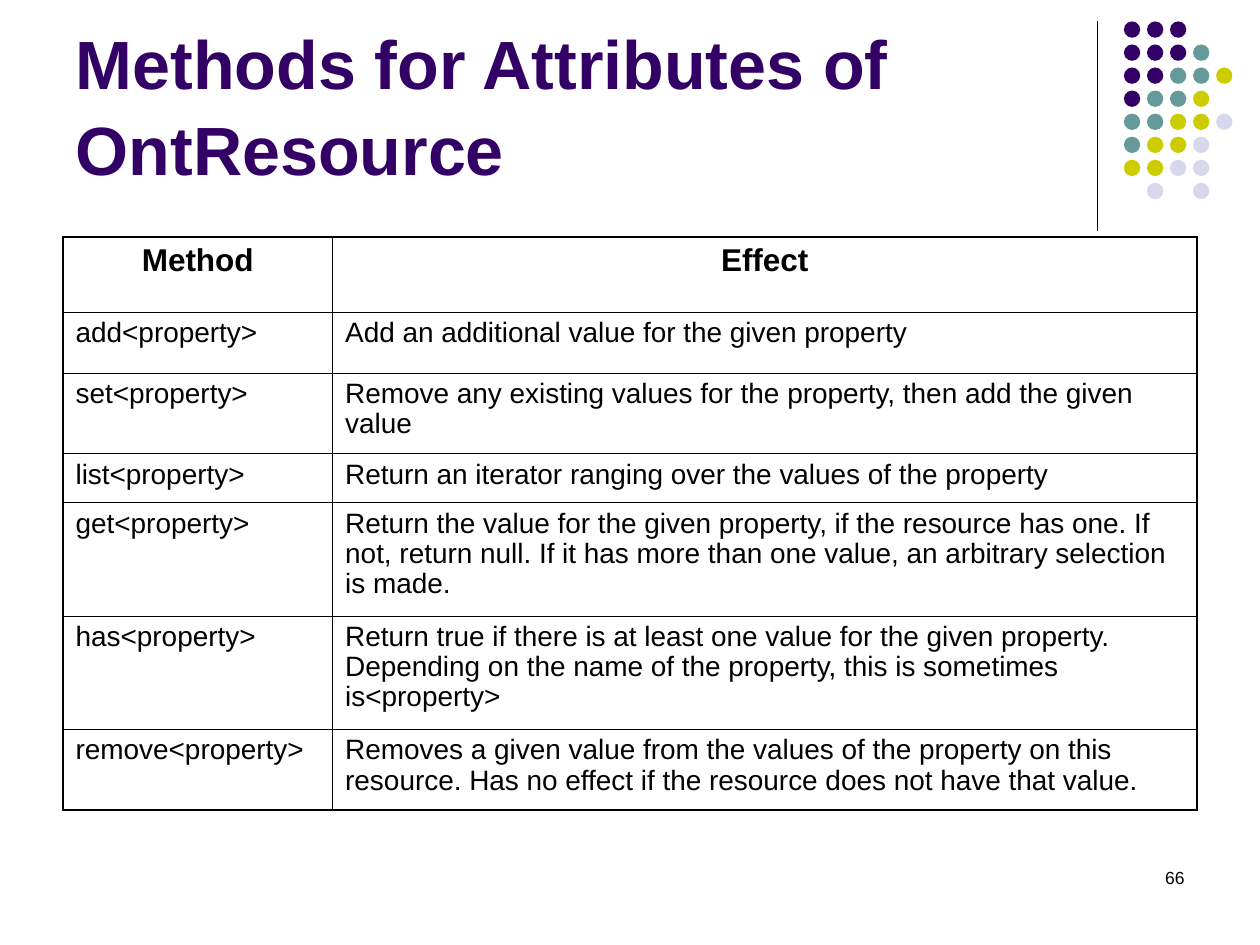
from lxml.etree import SubElement
from pptx import Presentation
from pptx.dml.color import RGBColor
from pptx.enum.shapes import MSO_CONNECTOR as Connector, MSO_SHAPE as Shape
from pptx.enum.text import MSO_ANCHOR as Anchor, MSO_AUTO_SIZE as AutoSize, PP_ALIGN as Align
from pptx.oxml.ns import qn
from pptx.util import Inches, Pt

BLACK, PURPLE = "000000", "330066"
DOT_COLOURS = {"P": PURPLE, "T": "669999", "Y": "CCCC00", "L": "D8D8EC"}
DOTS = ["PPP", "PPPT", "PPTTY", "PTTY", "TTYYL", "TYYL", "YYLL", ".L.L"]
COL_WIDTHS = [21.4, 68.6]
ROW_HEIGHTS = [6, 4.8, 6.4, 3.9, 9, 9, 6.4]
METHODS = [
    ("Method", "Effect"),
    ("add<property>", "Add an additional value for the given property"),
    ("set<property>", "Remove any existing values for the property, then add the given value"),
    ("list<property>", "Return an iterator ranging over the values of the property"),
    ("get<property>", "Return the value for the given property, if the resource has one. "
     "If not, return null. If it has more than one value, an arbitrary selection is made."),
    ("has<property>", "Return true if there is at least one value for the given property. "
     "Depending on the name of the property, this is sometimes is<property>"),
    ("remove<property>", "Removes a given value from the values of the property on this "
     "resource. Has no effect if the resource does not have that value."),
]


def rgb(value):
    """Turn a hex string into a colour."""
    return RGBColor.from_string(value)


class Deck:
    """Holds the style and the current slide on a grid of 100 columns by 75 rows."""

    font, outer, inner = "Arial", 1.08, 0.45

    def __init__(self):
        """Start a 10 by 7.5 inch presentation with a title-only slide."""
        self.prs = Presentation()
        self.prs.slide_width, self.prs.slide_height = Inches(10), Inches(7.5)
        self.s = self.prs.slides.add_slide(self.prs.slide_layouts[5])

    def grid(self, *units):
        """Convert grid units to lengths."""
        return [round(self.prs.slide_width * u / 100) for u in units]

    def paragraph(self, tf, text, size, colour=BLACK, bold=False, align=Align.LEFT, spacing=1.0):
        """Put one styled paragraph into a text frame."""
        tf.word_wrap = True
        p = tf.paragraphs[0]
        p.text, p.alignment, p.line_spacing = text, align, spacing
        p.space_before = Pt(0)
        p.font.name, p.font.size, p.font.bold = self.font, Pt(size), bold
        p.font.color.rgb = rgb(colour)

    def title(self, text, *box):
        """Place and format the title placeholder."""
        sp = self.s.shapes.title
        sp.left, sp.top, sp.width, sp.height = self.grid(*box)
        tf = sp.text_frame
        tf.vertical_anchor, tf.auto_size = Anchor.BOTTOM, AutoSize.NONE
        self.paragraph(tf, text, 39, PURPLE, True, spacing=1.05)

    def text(self, text, size, align, *box):
        """Add a text box."""
        sp = self.s.shapes.add_textbox(*self.grid(*box))
        self.paragraph(sp.text_frame, text, size, align=align)

    def line(self, *ends):
        """Add a thin black line."""
        sp = self.s.shapes.add_connector(Connector.STRAIGHT, *self.grid(*ends))
        sp.line.color.rgb, sp.line.width = rgb(BLACK), Pt(0.75)
        SubElement(sp._element.spPr, qn("a:effectLst"))

    def dots(self, rows, left, top, pitch, size):
        """Add a pattern of coloured dots."""
        for j, row in enumerate(rows):
            for i, key in enumerate(row):
                if key in DOT_COLOURS:
                    box = self.grid(left + i * pitch, top + j * pitch, size, size)
                    sp = self.s.shapes.add_shape(Shape.OVAL, *box)
                    sp.shadow.inherit = False
                    sp.fill.solid()
                    sp.fill.fore_color.rgb = rgb(DOT_COLOURS[key])
                    sp.line.fill.background()

    def borders(self, cell, edges):
        """Draw the four cell borders, heavier on the outer edges."""
        tc_pr = cell._tc.get_or_add_tcPr()
        for side, is_outer in edges.items():
            width = Pt(self.outer if is_outer else self.inner)
            ln = SubElement(tc_pr, qn(f"a:ln{side}"), w=str(int(width)))
            fill = SubElement(ln, qn("a:solidFill"))
            SubElement(fill, qn("a:srgbClr"), val=BLACK)

    def table(self, rows, left, top, widths, heights):
        """Add a ruled table with a bold centred header row."""
        box = self.grid(left, top, sum(widths), sum(heights))
        table = self.s.shapes.add_table(len(rows), len(widths), *box).table
        table.first_row = table.horz_banding = False
        for column, width in zip(table.columns, self.grid(*widths)):
            column.width = width
        for row, height in zip(table.rows, self.grid(*heights)):
            row.height = height
        for j, row in enumerate(rows):
            for i, text in enumerate(row):
                cell = table.cell(j, i)
                self.borders(cell, {"L": i == 0, "R": i == len(widths) - 1,
                                    "T": j == 0, "B": j == len(rows) - 1})
                cell.fill.background()
                if j == 0:
                    self.paragraph(cell.text_frame, text, 18, bold=True, align=Align.CENTER)
                else:
                    self.paragraph(cell.text_frame, text, 16, spacing=0.97)


def main():
    """Build and save the slide."""
    deck = Deck()
    deck.line(87.1, 1.7, 87.1, 18.3)
    deck.dots(DOTS, 89.2, 1.7, 1.83, 1.3)
    deck.text("66", 10, Align.RIGHT, 71.7, 68.3, 23.3, 5)
    deck.title("Methods for Attributes of OntResource", 5, 1.3, 82.5, 14.2)
    deck.table(METHODS, 5, 18.8, COL_WIDTHS, ROW_HEIGHTS)
    deck.prs.save("out.pptx")


if __name__ == "__main__":
    main()
